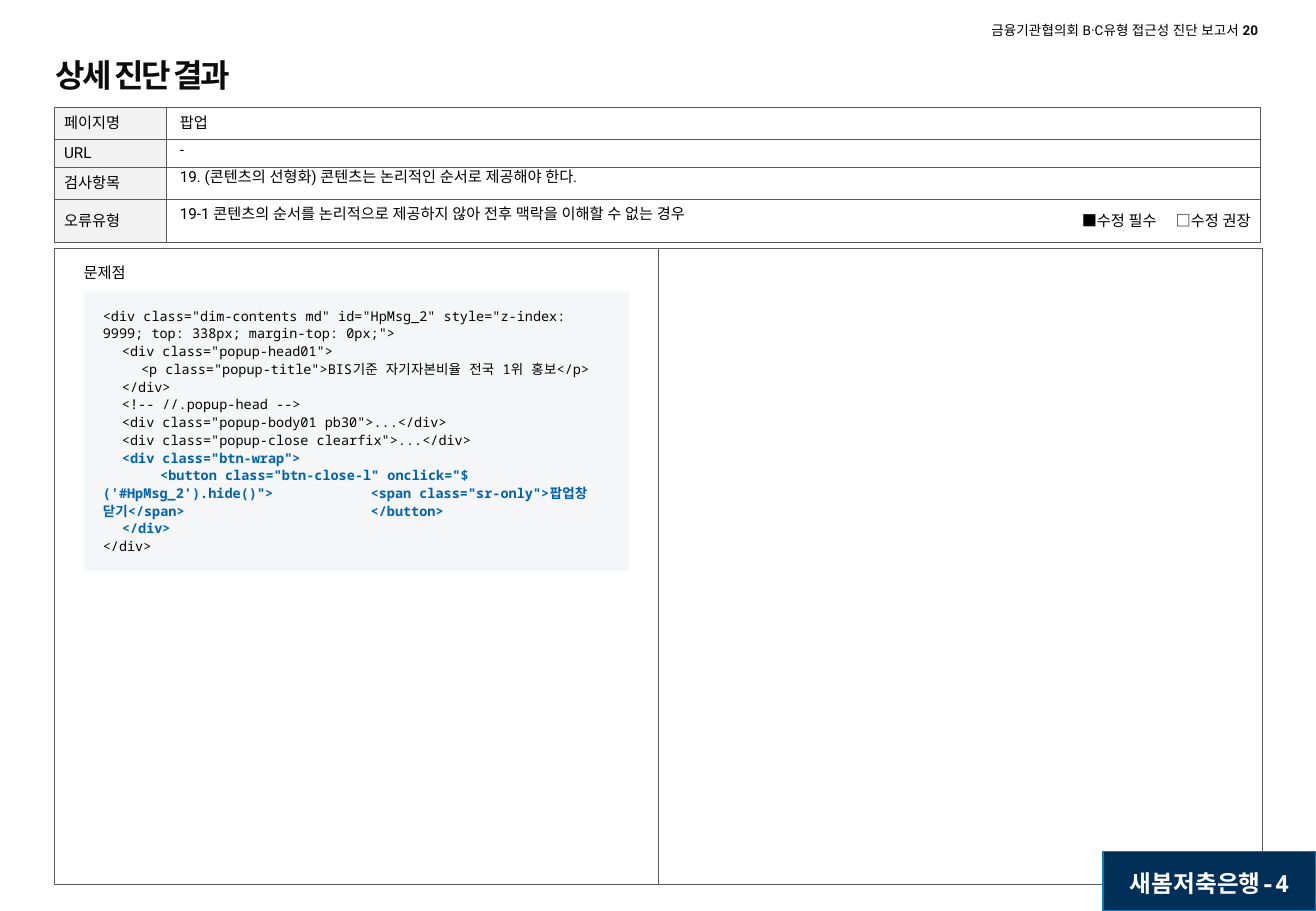
from lxml import etree
from pptx import Presentation
from pptx.dml.color import RGBColor
from pptx.enum.shapes import MSO_SHAPE
from pptx.enum.text import MSO_ANCHOR, PP_ALIGN
from pptx.oxml.ns import qn
from pptx.util import Cm, Pt

RECTANGLE = MSO_SHAPE.RECTANGLE
TOP, MIDDLE = MSO_ANCHOR.TOP, MSO_ANCHOR.MIDDLE
LEFT, CENTER, RIGHT = PP_ALIGN.LEFT, PP_ALIGN.CENTER, PP_ALIGN.RIGHT
SANS, MONO = "Roboto", "Noto Sans Mono"
BLACK, INK, BLUE, WHITE = "000000", "0D0D0D", "0061B0", "FFFFFF"
GRID, LABEL_FILL, CODE_FILL = "595959", "F2F2F2", "F5F6F8"
BADGE_FILL, BADGE_LINE = "003058", "0082B2"

LABELS = ["페이지명", "URL", "검사항목", "오류유형"]
ROW_HEIGHTS = [0.67, 0.56, 0.67, 0.91]
ENTRIES = [
    ("팝업", 2.26, 22.83, 0.58),
    ("-", 2.84, 22.83, 0.58),
    ("19. (콘텐츠의 선형화) 콘텐츠는 논리적인 순서로 제공해야 한다.", 3.4, 22.83, 0.58),
    ("19-1 콘텐츠의 순서를 논리적으로 제공하지 않아 전후 맥락을 이해할 수 없는 경우", 3.99, 18.36, 0.94),
]
CODE_BEFORE = [
    '<div class="dim-contents md" id="HpMsg_2" style="z-index: 9999; top: 338px; margin-top: 0px;">',
    '\t<div class="popup-head01">',
    '\t\t<p class="popup-title">BIS기준 자기자본비율 전국 1위 홍보</p>',
    "\t</div>",
    "\t<!-- //.popup-head -->",
    '\t<div class="popup-body01 pb30">...</div>',
    '\t<div class="popup-close clearfix">...</div>',
]
CODE_MARKED = [
    '\t<div class="btn-wrap">',
    '\t\t\t<button class="btn-close-l" onclick="$(\'#HpMsg_2\').hide()">' + "\t" * 6
    + '<span class="sr-only">팝업창 닫기</span>' + "\t" * 10 + "</button>",
    "\t</div>",
]
CODE_AFTER = ["</div>"]


def color(value):
    return RGBColor.from_string(value)


class Report:
    """Draw the elements of a diagnosis report on the current page."""

    def __init__(self, deck):
        self.page = deck.slides.add_slide(deck.slide_layouts[6])

    def style(self, span, size, font=SANS, ink=BLACK, bold=False, spacing=0):
        span.font.size, span.font.name, span.font.bold = Pt(size), font, bold
        span.font.color.rgb = color(ink)
        properties = span.font._element
        etree.SubElement(properties, qn("a:ea"), typeface=font)
        if spacing:
            properties.set("spc", str(int(spacing * 100)))

    def frame(self, frame, margins, anchor):
        frame.word_wrap, frame.vertical_anchor = True, anchor
        frame.margin_left = frame.margin_right = Cm(margins[0])
        frame.margin_top, frame.margin_bottom = Cm(margins[1]), Cm(margins[2])

    def add_span(self, para, text, size, **look):
        span = para.add_run()
        span.text = text
        self.style(span, size, **look)

    def text(self, place, text, size, margins=(0, 0, 0), anchor=MIDDLE, align=LEFT, leading=1.0, **look):
        box = self.page.shapes.add_textbox(*map(Cm, place))
        self.frame(box.text_frame, margins, anchor)
        para = box.text_frame.paragraphs[0]
        para.alignment, para.line_spacing = align, leading
        self.add_span(para, text, size, **look)
        return para

    def panel(self, place, lines, size, fill, ink, line=None, align=LEFT, bold=False):
        box = self.page.shapes.add_shape(RECTANGLE, *map(Cm, place))
        box.shadow.inherit = False
        box.fill.solid()
        box.fill.fore_color.rgb = color(fill)
        if line:
            box.line.color.rgb, box.line.width = color(line), Pt(1)
        else:
            box.line.fill.background()
        self.frame(box.text_frame, (0.4, 0.3, 0.3), TOP)
        box.text_frame.text = "\n".join(lines)
        for para in box.text_frame.paragraphs:
            para.alignment, para.line_spacing = align, 1.1
            for span in para.runs:
                self.style(span, size, font=MONO, ink=ink, bold=bold)
        return box.text_frame.paragraphs

    def tab_stops(self, para, step, count):
        stops = etree.SubElement(para._p.get_or_add_pPr(), qn("a:tabLst"))
        for number in range(1, count + 1):
            etree.SubElement(stops, qn("a:tab"), pos=str(Cm(step * number)), algn="l")

    def cell(self, cell, fill=None, sides="LRTB"):
        cell.vertical_anchor = MIDDLE
        cell.margin_left = cell.margin_right = Cm(0.2)
        cell.margin_top = cell.margin_bottom = Cm(0.1)
        properties = cell._tc.get_or_add_tcPr()
        for side in "LRTB":
            edge = etree.SubElement(properties, qn("a:ln" + side), w=str(Pt(0.25)))
            if side in sides:
                solid = etree.SubElement(edge, qn("a:solidFill"))
                etree.SubElement(solid, qn("a:srgbClr"), val=GRID)
            else:
                etree.SubElement(edge, qn("a:noFill"))
        if fill:
            cell.fill.solid()
            cell.fill.fore_color.rgb = color(fill)
        else:
            cell.fill.background()
        etree.SubElement(cell.text_frame.paragraphs[0]._p, qn("a:endParaRPr"), sz="900")

    def table(self, left, top, widths, heights):
        size = (left, top, sum(widths), sum(heights))
        table = self.page.shapes.add_table(len(heights), len(widths), *map(Cm, size)).table
        table.first_row = table.horz_banding = False
        for column, width in zip(table.columns, widths):
            column.width = Cm(width)
        for row, height in zip(table.rows, heights):
            row.height = Cm(height)
        return table


def main():
    deck = Presentation()
    deck.slide_width, deck.slide_height = Cm(27.51), Cm(19.05)
    report = Report(deck)

    header = report.text((18.95, 0.36, 7.42, 0.56), "금융기관협의회 B·C유형 접근성 진단 보고서 ", 8, align=RIGHT)
    report.add_span(header, "20 ", 8, ink=INK, bold=True)

    summary = report.table(1.14, 2.24, [2.34, 18.52, 4.34], ROW_HEIGHTS)
    last = len(LABELS) - 1
    for row, label in enumerate(LABELS):
        name, value, choice = (summary.cell(row, column) for column in range(3))
        report.cell(name, fill=LABEL_FILL)
        report.add_span(name.text_frame.paragraphs[0], label, 9)
        report.cell(value, sides="LTB" if row == last else "LRTB")
        report.cell(choice, sides="RTB")
        if row < last:
            value.merge(choice)
    para = summary.cell(last, 2).text_frame.paragraphs[0]
    para.alignment = RIGHT
    for text, spacing in (("■수정 필수", 0), (" ", 9), ("□수정 권장", 0)):
        report.add_span(para, text, 9, spacing=spacing)

    details = report.table(1.14, 5.18, [12.62, 12.62], [13.31])
    for column in range(2):
        report.cell(details.cell(0, column), fill=WHITE)

    report.text((1.17, 1.24, 17.88, 0.74), "상세 진단 결과", 19, leading=0.9, ink=INK, bold=True, spacing=-1.5)
    for text, top, width, height in ENTRIES:
        report.text((3.51, top, width, height), text, 9, margins=(0.25, 0.1, 0.1))

    report.text((1.75, 5.51, 11.3, 0.58), "문제점", 9, margins=(0, 0, 0.2), anchor=TOP)
    code = report.panel((1.75, 6.1, 11.4, 5.84), CODE_BEFORE + CODE_MARKED + CODE_AFTER, 8, CODE_FILL, BLACK)
    for para in code:
        report.tab_stops(para, 0.4, 14)
    for para in code[len(CODE_BEFORE):-len(CODE_AFTER)]:
        for span in para.runs:
            span.font.bold = True
            span.font.color.rgb = color(BLUE)

    report.panel((23.06, 17.81, 4.45, 1.24), ["새봄저축은행-4"], 14, BADGE_FILL, WHITE,
                 line=BADGE_LINE, align=CENTER, bold=True)
    deck.save("out.pptx")


if __name__ == "__main__":
    main()
